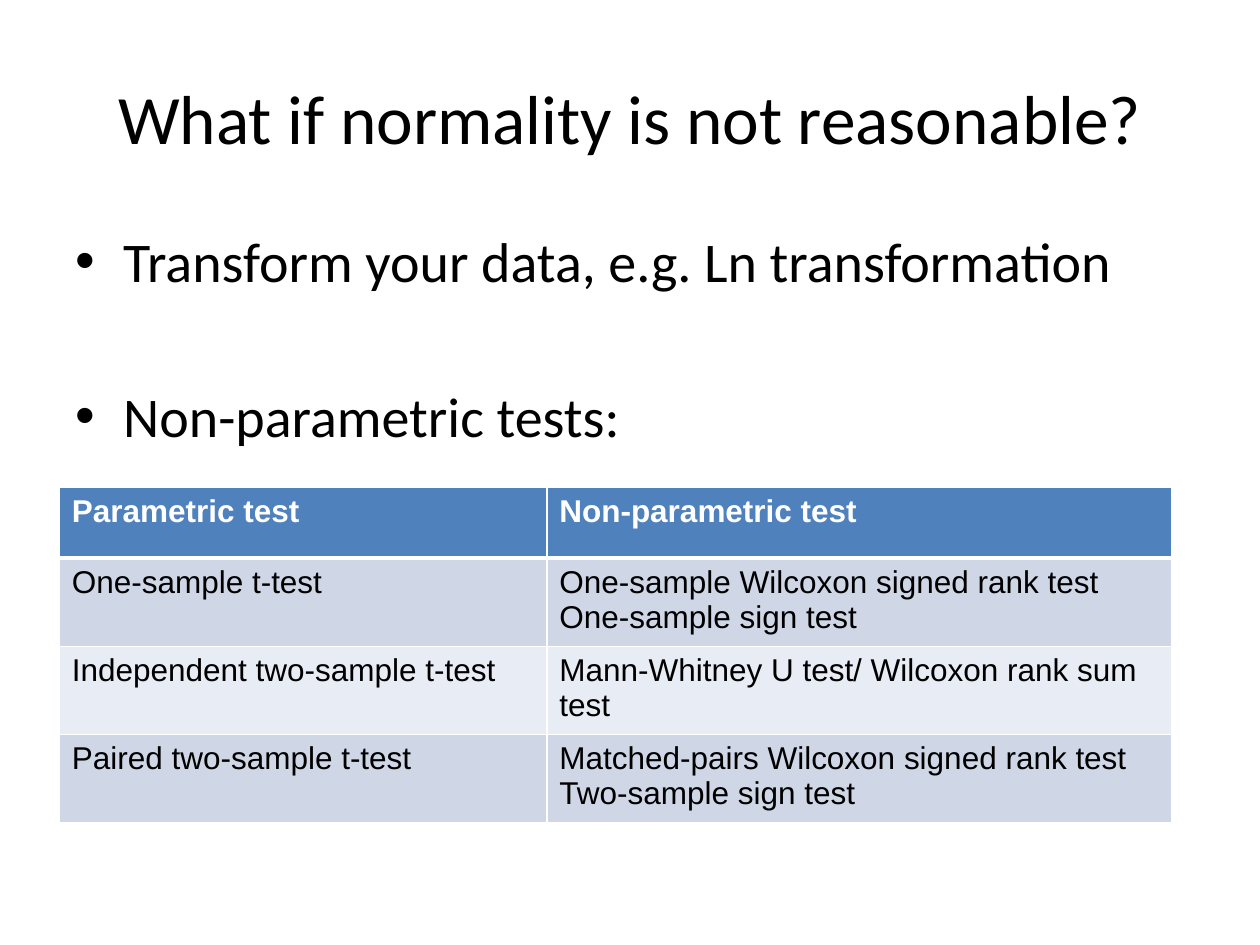
from dataclasses import dataclass

from lxml import etree
from pptx import Presentation
from pptx.dml.color import RGBColor
from pptx.enum import text
from pptx.oxml import ns
from pptx.util import Emu, Inches, Pt

BLACK = RGBColor(0x00, 0x00, 0x00)
WHITE = RGBColor(0xFF, 0xFF, 0xFF)
HEADER_BLUE = RGBColor(0x4F, 0x81, 0xBD)
BANDS = (RGBColor(0xCF, 0xD7, 0xE7), RGBColor(0xE8, 0xEC, 0xF4))

WIDTH, HEIGHT = Inches(10), Inches(7.5)
MARGIN = 0.05  # share of the slide's width
COLUMNS = (3.87, 4.96)
HEADER_ROW, TEST_ROW = 0.56, 0.66


@dataclass(frozen=True)
class TestPair:
    parametric: str
    non_parametric: tuple[str, ...]


PAIRS = (
    TestPair("One-sample t-test",
             ("One-sample Wilcoxon signed rank test", "One-sample sign test")),
    TestPair("Independent two-sample t-test",
             ("Mann-Whitney U test/ Wilcoxon rank sum test",)),
    TestPair("Paired two-sample t-test",
             ("Matched-pairs Wilcoxon signed rank test", "Two-sample sign test")),
)
ADVICE = ("Transform your data, e.g. Ln transformation", "Non-parametric tests:")


def write(frame, *lines: str, size: float, font: str = "Calibri",
          color: RGBColor = BLACK, bold: bool = False,
          align=text.PP_ALIGN.LEFT, gap: float = 0) -> None:
    """Fill a text frame, one paragraph a line, with a gap between them."""
    frame.word_wrap = True
    for index, line in enumerate(lines):
        paragraph = frame.paragraphs[0] if index == 0 else frame.add_paragraph()
        paragraph.alignment = align
        paragraph.space_before = Pt(gap if index else 0)
        run = paragraph.add_run()
        run.text = line
        run.font.name, run.font.size, run.font.bold = font, Pt(size), bold
        run.font.color.rgb = color


def place(shape, left: float, top: float, width: float, height: float) -> None:
    """Position a shape by shares of the slide's size."""
    shape.left, shape.width = Emu(int(WIDTH * left)), Emu(int(WIDTH * width))
    shape.top, shape.height = Emu(int(HEIGHT * top)), Emu(int(HEIGHT * height))


def add_bullets(frame) -> None:
    for paragraph in frame.paragraphs:
        properties = paragraph._p.get_or_add_pPr()
        properties.set("marL", str(Inches(0.38)))
        properties.set("indent", str(-Inches(0.38)))
        font = etree.SubElement(properties, ns.qn("a:buFont"))
        font.set("typeface", "Arial")
        etree.SubElement(properties, ns.qn("a:buChar")).set("char", "•")


def add_borders(cell, bottom: float) -> None:
    properties = cell._tc.get_or_add_tcPr()
    for side, width in zip("LRTB", (1, 1, 1, bottom)):
        line = etree.SubElement(properties, ns.qn(f"a:ln{side}"))
        line.set("w", str(Pt(width)))
        fill = etree.SubElement(line, ns.qn("a:solidFill"))
        etree.SubElement(fill, ns.qn("a:srgbClr")).set("val", str(WHITE))


def fill_row(row, contents: tuple[tuple[str, ...], ...], fill: RGBColor,
             color: RGBColor = BLACK, bold: bool = False, bottom: float = 1) -> None:
    for cell, lines in zip(row.cells, contents):
        write(cell.text_frame, *lines, size=18, font="Arial", color=color, bold=bold)
        add_borders(cell, bottom)
        cell.fill.solid()
        cell.fill.fore_color.rgb = fill


def add_test_table(slide) -> None:
    heights = (HEADER_ROW,) + (TEST_ROW,) * len(PAIRS)
    table = slide.shapes.add_table(
        len(heights), len(COLUMNS), Inches(0.47), Inches(3.87),
        Inches(sum(COLUMNS)), Inches(sum(heights))).table
    for column, width in zip(table.columns, COLUMNS):
        column.width = Inches(width)
    for row, height in zip(table.rows, heights):
        row.height = Inches(height)

    fill_row(table.rows[0], (("Parametric test",), ("Non-parametric test",)),
             HEADER_BLUE, color=WHITE, bold=True, bottom=3)
    for index, pair in enumerate(PAIRS):
        fill_row(table.rows[index + 1], ((pair.parametric,), pair.non_parametric),
                 BANDS[index % len(BANDS)])


def main() -> None:
    deck = Presentation()
    deck.slide_width, deck.slide_height = WIDTH, HEIGHT
    slide = deck.slides.add_slide(deck.slide_layouts[5])

    # Title
    title = slide.shapes.title
    place(title, MARGIN, 0.04, 1 - 2 * MARGIN, 1 / 6)
    title.text_frame.auto_size = text.MSO_AUTO_SIZE.NONE
    title.text_frame.vertical_anchor = text.MSO_ANCHOR.MIDDLE
    write(title.text_frame, "What if normality is not reasonable?", size=39.6,
          align=text.PP_ALIGN.CENTER)

    # Advice
    advice = slide.shapes.add_textbox(0, 0, 0, 0)
    place(advice, MARGIN, 1.75 / 7.5, 1 - 2 * MARGIN, 0.66)
    write(advice.text_frame, *ADVICE, size=32, gap=50)
    add_bullets(advice.text_frame)

    # Matching tests
    add_test_table(slide)

    deck.save("out.pptx")


if __name__ == "__main__":
    main()
